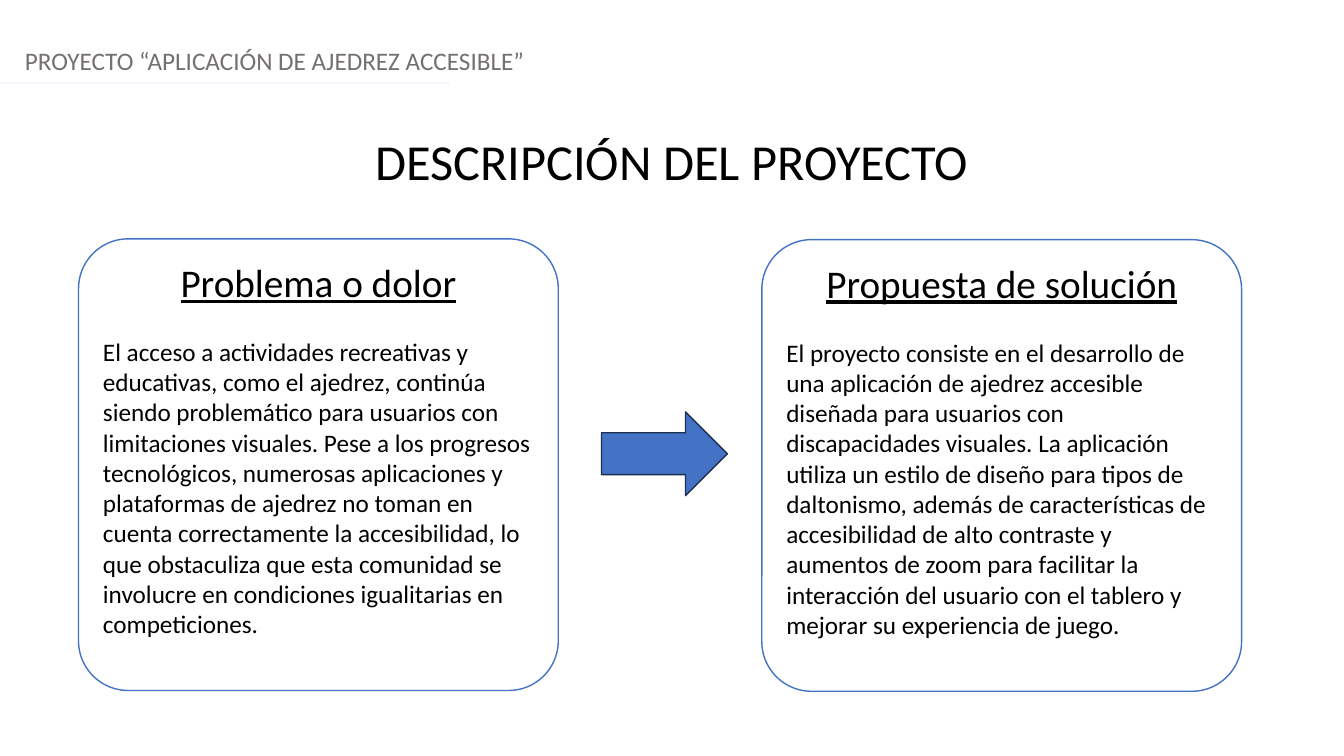
import dataclasses

import lxml.etree
import pptx
import pptx.dml.color
import pptx.enum.shapes
import pptx.enum.text
import pptx.oxml.ns
import pptx.util

Cm = pptx.util.Cm
Pt = pptx.util.Pt
Align = pptx.enum.text.PP_ALIGN
Anchor = pptx.enum.text.MSO_ANCHOR
Preset = pptx.enum.shapes.MSO_SHAPE

FONT = "Calibri"
PAGE_WIDTH = 33.87
PAGE_HEIGHT = 19.05
COLOURS = {
    "paper": "FFFFFF",
    "ink": "000000",
    "grey": "757070",
    "rule": "F5F7FC",
    "blue": "4472C4",
    "navy": "1C3052",
}


@dataclasses.dataclass
class Card:
    left: float
    top: float
    heading: str
    body: str


CARDS = [
    Card(
        1.98,
        6.02,
        "Problema o dolor",
        "El acceso a actividades recreativas y educativas, como el ajedrez, "
        "continúa siendo problemático para usuarios con limitaciones visuales. "
        "Pese a los progresos tecnológicos, numerosas aplicaciones y plataformas "
        "de ajedrez no toman en cuenta correctamente la accesibilidad, lo que "
        "obstaculiza que esta comunidad se involucre en condiciones igualitarias "
        "en competiciones.",
    ),
    Card(
        19.2,
        6.04,
        "Propuesta de solución",
        "El proyecto consiste en el desarrollo de una aplicación de ajedrez "
        "accesible diseñada para usuarios con discapacidades visuales. La "
        "aplicación utiliza un estilo de diseño para tipos de daltonismo, además "
        "de características de accesibilidad de alto contraste y aumentos de zoom "
        "para facilitar la interacción del usuario con el tablero y mejorar su "
        "experiencia de juego.",
    ),
]


def colour(name: str) -> pptx.dml.color.RGBColor:
    return pptx.dml.color.RGBColor.from_string(COLOURS[name])


def write(para, text: str, size: float, ink: str = "ink", align=Align.LEFT) -> None:
    para.text = text
    para.alignment = align
    para.font.name = FONT
    para.font.size = Pt(size)
    para.font.color.rgb = colour(ink)


def add_block(page, preset, left: float, top: float, width: float, height: float,
              fill: str, line: str):
    block = page.shapes.add_shape(preset, Cm(left), Cm(top), Cm(width), Cm(height))
    block.shadow.inherit = False
    block.fill.solid()
    block.fill.fore_color.rgb = colour(fill)
    block.line.color.rgb = colour(line)
    block.line.width = Pt(1)
    return block


def add_card(page, card: Card) -> None:
    box = add_block(page, Preset.ROUNDED_RECTANGLE, card.left, card.top,
                    12.09, 11.38, "paper", "blue")
    box.adjustments[0] = 0.11
    frame = box.text_frame
    frame.word_wrap = True
    frame.vertical_anchor = Anchor.TOP
    heading = frame.paragraphs[0]
    write(heading, card.heading, 28, align=Align.CENTER)
    heading.font.underline = True
    heading.space_after = Pt(22)
    write(frame.add_paragraph(), card.body, 18)


def add_header(page) -> None:
    box = page.shapes.add_textbox(Cm(0.38), Cm(1.02), Cm(PAGE_WIDTH), Cm(1.02))
    box.text_frame.word_wrap = True
    write(box.text_frame.paragraphs[0],
          "PROYECTO “APLICACIÓN DE AJEDREZ ACCESIBLE”", 18, "grey")
    rule = page.shapes.add_connector(
        pptx.enum.shapes.MSO_CONNECTOR.STRAIGHT, 0, Cm(2.1), Cm(11.35), Cm(2.1))
    rule.line.color.rgb = colour("rule")
    rule.line.width = Pt(1.25)
    lxml.etree.SubElement(rule._element.spPr, pptx.oxml.ns.qn("a:effectLst"))


def place_title(page) -> None:
    title = page.shapes.title
    title.left, title.top = Cm(0), Cm(3.15)
    title.width, title.height = Cm(PAGE_WIDTH), Cm(1.8)
    frame = title.text_frame
    frame.auto_size = pptx.enum.text.MSO_AUTO_SIZE.NONE
    frame.word_wrap = True
    frame.vertical_anchor = Anchor.TOP
    write(frame.paragraphs[0], "DESCRIPCIÓN DEL PROYECTO", 36, align=Align.CENTER)


def main() -> None:
    deck = pptx.Presentation()
    deck.slide_width, deck.slide_height = Cm(PAGE_WIDTH), Cm(PAGE_HEIGHT)
    page = deck.slides.add_slide(deck.slide_layouts.get_by_name("Title Only"))
    place_title(page)
    add_header(page)
    for card in CARDS:
        add_card(page, card)
    add_block(page, Preset.RIGHT_ARROW, 15.16, 10.38, 3.17, 2.11, "blue", "navy")
    deck.save("out.pptx")


if __name__ == "__main__":
    main()
